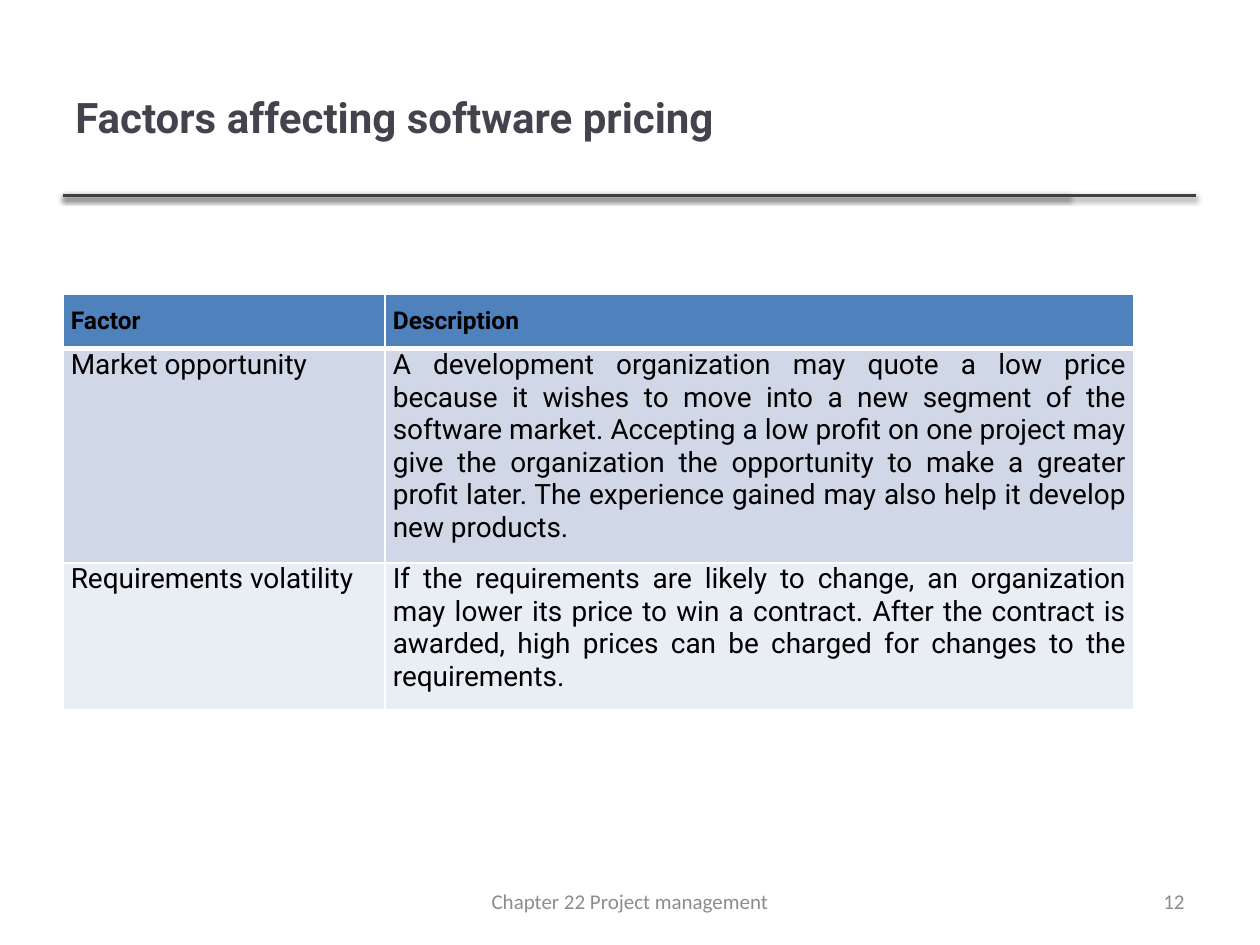
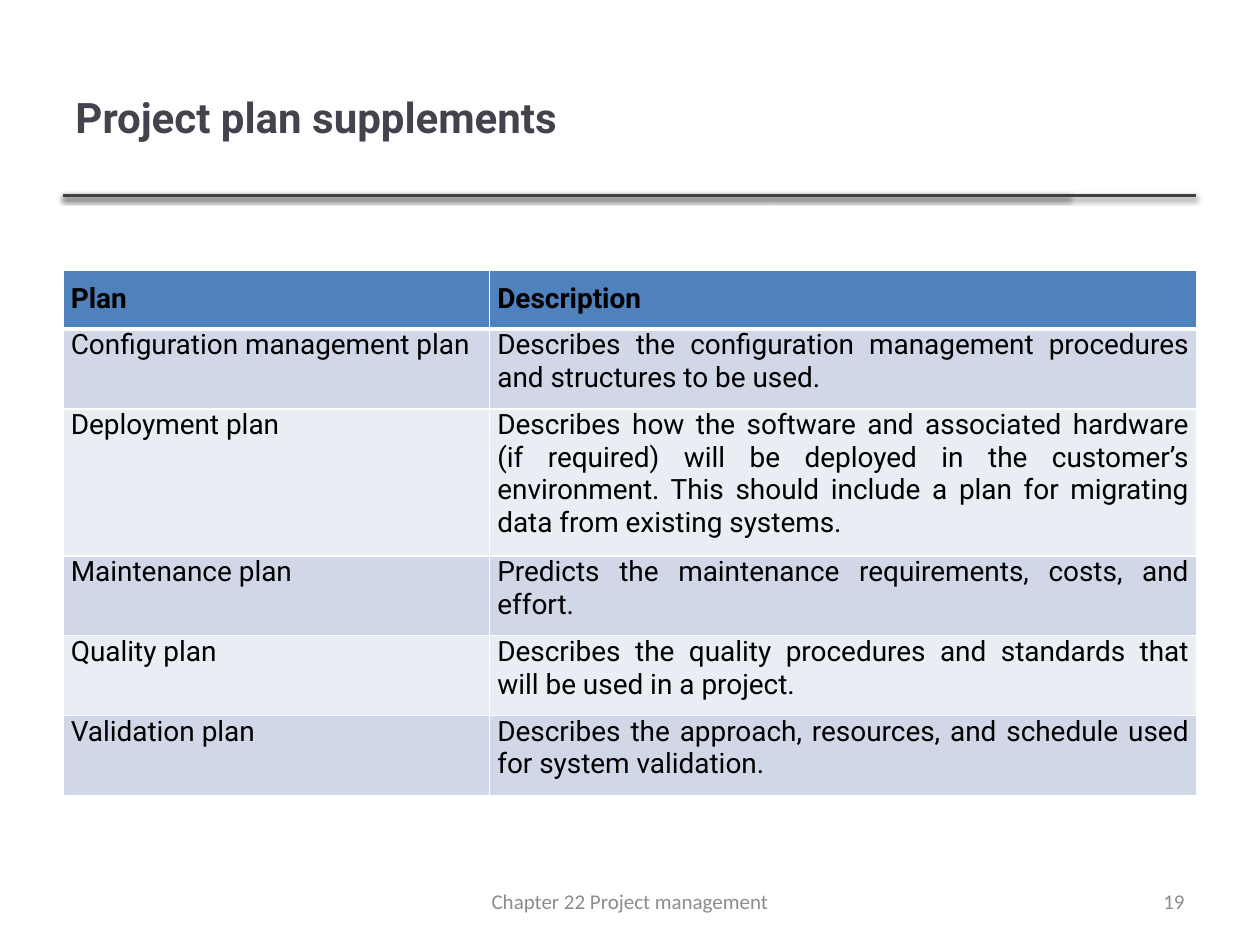
from lxml.etree import SubElement
from pptx import Presentation
from pptx.dml.color import RGBColor
from pptx.enum.text import MSO_ANCHOR, PP_ALIGN
from pptx.oxml import parse_xml
from pptx.oxml.ns import nsdecls, qn
from pptx.util import Pt

COLORS = {
    "title": "46424D", "rule": "404040", "foot": "8C8C8C", "text": "000000",
    "head": "4F81BD", "odd": "D0D8E8", "even": "E9EDF4", "edge": "FFFFFF",
}
LEFT = 36
ROW = 29.5


def color(name):
    return RGBColor.from_string(COLORS[name])


def style(par, face, size, tint, bold=False, align=PP_ALIGN.LEFT):
    par.alignment = align
    font = par.font
    font.name, font.size, font.bold = face, Pt(size), bold
    font.color.rgb = color(tint)


def add_text(slide, box, text, *look, **more):
    frame = slide.shapes.add_textbox(*map(Pt, box)).text_frame
    frame.word_wrap = True
    frame.vertical_anchor = MSO_ANCHOR.MIDDLE
    frame.text = text
    style(frame.paragraphs[0], *look, **more)


def add_rule(slide, left, top, width):
    line = slide.shapes.add_connector(1, Pt(left), Pt(top), Pt(left + width), Pt(top))
    line.line.color.rgb = color("rule")
    line.line.width = Pt(2)
    # Soft shadow falling straight down
    line._element.spPr.append(parse_xml(
        f'<a:effectLst {nsdecls("a")}><a:outerShdw blurRad="{Pt(3.1)}" '
        f'dist="{Pt(1.6)}" dir="5400000" rotWithShape="0"><a:srgbClr val="000000">'
        '<a:alpha val="38000"/></a:srgbClr></a:outerShdw></a:effectLst>'))


def add_edges(cell, **widths):
    props = cell._tc.get_or_add_tcPr()
    for side in "LRTB":
        line = SubElement(props, qn(f"a:ln{side}"), w=str(Pt(widths.get(side, 1))))
        fill = SubElement(line, qn("a:solidFill"))
        SubElement(fill, qn("a:srgbClr"), val=COLORS["edge"])


def fill_cell(cell, text, row, col, size):
    head = row == 0
    add_edges(cell, B=3 if head else 1, T=3 if row == 1 else 1)
    cell.fill.solid()
    cell.fill.fore_color.rgb = color("head" if head else "odd" if row % 2 else "even")
    cell.margin_left = cell.margin_right = Pt(4.5)
    cell.margin_top = Pt(7.2 if head else 0)
    cell.margin_bottom = Pt(7.2)
    cell.text = text
    align = PP_ALIGN.JUSTIFY if head or col else PP_ALIGN.LEFT
    style(cell.text_frame.paragraphs[0], "Roboto", size, "text", head, align)


def add_grid(slide, left, top, cols, rows, size):
    shape = slide.shapes.add_table(len(rows), len(cols), Pt(left), Pt(top),
                                   Pt(sum(cols)), Pt(ROW * len(rows)))
    table = shape.table
    for col, width in enumerate(cols):
        table.columns[col].width = Pt(width)
    for row, texts in enumerate(rows):
        table.rows[row].height = Pt(ROW)
        for col, text in enumerate(texts):
            fill_cell(table.cell(row, col), text, row, col, 16 if row else size)


def add_foot(slide, top, number):
    add_text(slide, (246, top, 228, 28.75), "Chapter 22 Project management",
             "Calibri", 12, "foot", align=PP_ALIGN.CENTER)
    add_text(slide, (516, top, 168, 28.75), number,
             "Calibri", 12, "foot", align=PP_ALIGN.RIGHT)


def add_page(deck, title, number, top, cols, rows, size):
    slide = deck.slides.add_slide(deck.slide_layouts[6])
    # Title and double rule
    for width in (575, 647.5):
        add_rule(slide, LEFT, 111.6, width)
    add_text(slide, (LEFT, 21.6, 575, 90), title, "Roboto", 24, "title", bold=True)
    # Table and footer
    add_grid(slide, LEFT, top, cols, rows, size)
    add_foot(slide, 500.5, number)


FACTORS = [
    ("Factor", "Description"),
    ("Market opportunity",
     "A development organization may quote a low price because it wishes to move "
     "into a new segment of the software market. Accepting a low profit on one "
     "project may give the organization the opportunity to make a greater profit "
     "later. The experience gained may also help it develop new products."),
    ("Requirements volatility",
     "If the requirements are likely to change, an organization may lower its price "
     "to win a contract. After the contract is awarded, high prices can be charged "
     "for changes to the requirements."),
]
PLANS = [
    ("Plan", "Description"),
    ("Configuration management plan",
     "Describes the configuration management procedures and structures to be used."),
    ("Deployment plan",
     "Describes how the software and associated hardware (if required) will be "
     "deployed in the customer’s environment. This should include a plan for "
     "migrating data from existing systems."),
    ("Maintenance plan",
     "Predicts the maintenance requirements, costs, and effort."),
    ("Quality plan",
     "Describes the quality procedures and standards that will be used in a project."),
    ("Validation plan",
     "Describes the approach, resources, and schedule used for system validation."),
]


def main():
    deck = Presentation()
    deck.slide_width, deck.slide_height = Pt(720), Pt(540)
    add_page(deck, "Factors affecting software pricing", "12",
             168, (184, 428), FACTORS, 14)
    add_page(deck, "Project plan supplements", "19",
             154.4, (243.75, 404.25), PLANS, 16)
    deck.save("out.pptx")


if __name__ == "__main__":
    main()
